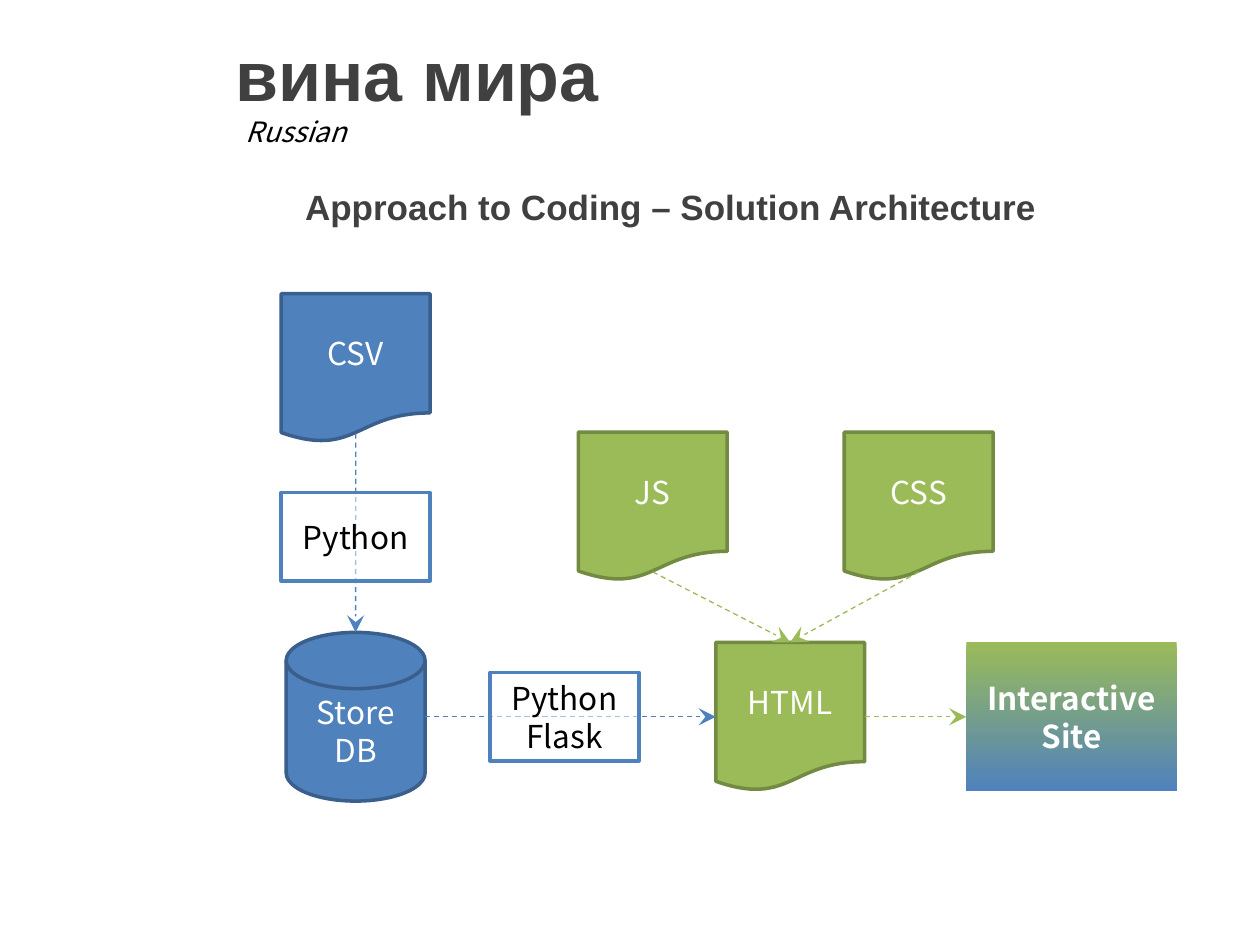
from lxml.etree import SubElement
from pptx import Presentation
from pptx.dml.color import RGBColor
from pptx.enum.dml import MSO_LINE
from pptx.enum.shapes import MSO_CONNECTOR, MSO_SHAPE as SHAPE
from pptx.enum.text import MSO_ANCHOR as ANCHOR, PP_ALIGN as ALIGN
from pptx.oxml.ns import qn
from pptx.util import Cm, Pt

COLORS = {"blue": "4F81BD", "blue_edge": "3A5F8C", "green": "9BBB59",
          "green_edge": "738A42", "white": "FFFFFF", "black": "000000",
          "heading": "404040"}
HEAD_FONT, BODY_FONT = "Arial", "Noto Sans CJK KR"

# Shared centre lines and sizes, in cm
DATA_X, SERVE_Y, ASSET_Y = 7.17, 14.45, 10.21
DOC, STEP = (3, 3), (3, 1.78)

# name: (text, shape, centre, size, fill, edge)
NODES = {
    "csv": ("CSV", SHAPE.FLOWCHART_DOCUMENT, (DATA_X, 7.42), DOC, "blue", "blue_edge"),
    "db": ("Store DB", SHAPE.FLOWCHART_MAGNETIC_DISK, (DATA_X, SERVE_Y), (2.8, 3.4),
           "blue", "blue_edge"),
    "html": ("HTML", SHAPE.FLOWCHART_DOCUMENT, (15.93, SERVE_Y), DOC, "green", "green_edge"),
    "js": ("JS", SHAPE.FLOWCHART_DOCUMENT, (13.16, ASSET_Y), DOC, "green", "green_edge"),
    "css": ("CSS", SHAPE.FLOWCHART_DOCUMENT, (18.52, ASSET_Y), DOC, "green", "green_edge"),
    "site": ("Interactive Site", SHAPE.FLOWCHART_PROCESS, (21.6, SERVE_Y), (4.24, 3),
             None, None),
}
STEPS = {
    "python": ("Python", SHAPE.FLOWCHART_PROCESS, (DATA_X, 10.82), STEP, "white", "blue"),
    "flask": ("Python Flask", SHAPE.FLOWCHART_PROCESS, (11.38, SERVE_Y), STEP,
              "white", "blue"),
}
# (from, side, to, side, colour)
TOP, LEFT, BOTTOM, RIGHT = range(4)
FLOWS = [
    ("csv", BOTTOM, "db", TOP, "blue"),
    ("db", RIGHT, "html", LEFT, "blue"),
    ("js", BOTTOM, "html", TOP, "green"),
    ("css", BOTTOM, "html", TOP, "green"),
    ("html", RIGHT, "site", LEFT, "green"),
]
WAVE = 0.94  # the wavy lower edge crosses the middle at this share of the height


def rgb(name):
    return RGBColor.from_string(COLORS[name])


def style(tf, size, color, font=BODY_FONT, bold=False, italic=False, align=ALIGN.LEFT):
    tf.word_wrap = True
    for p in tf.paragraphs:
        p.alignment = align
        for r in p.runs:
            f = r.font
            f.name, f.size, f.bold, f.italic = font, Pt(size), bold, italic
            f.color.rgb = rgb(color)


def place(sp, left, top, width, height):
    sp.left, sp.top, sp.width, sp.height = Cm(left), Cm(top), Cm(width), Cm(height)


def add_text(slide, text, box, size, color, **options):
    sp = slide.shapes.add_textbox(*(Cm(v) for v in box))
    sp.text_frame.text = text
    style(sp.text_frame, size, color, **options)
    return sp


def add_node(slide, text, kind, center, size, fill, edge):
    (x, y), (w, h) = center, size
    sp = slide.shapes.add_shape(kind, Cm(x - w / 2), Cm(y - h / 2), Cm(w), Cm(h))
    sp.shadow.inherit = False
    if fill:
        sp.fill.solid()
        sp.fill.fore_color.rgb = rgb(fill)
        sp.line.color.rgb = rgb(edge)
        sp.line.width = Pt(2)
    else:
        sp.fill.gradient()
        sp.fill.gradient_angle = 270
        for stop, color, position in zip(sp.fill.gradient_stops, ("green", "blue"), (0, 1)):
            stop.color.rgb = rgb(color)
            stop.position = position
        sp.line.fill.background()
    if fill == "white":  # half transparent, so the flow shows through
        SubElement(sp._element.spPr.find(".//" + qn("a:srgbClr")), qn("a:alpha"), val="50000")
    tf = sp.text_frame
    tf.text = text
    tf.vertical_anchor = ANCHOR.MIDDLE
    style(tf, 18, "black" if fill == "white" else "white", bold=not fill, align=ALIGN.CENTER)
    return sp


def side_point(sp, side):
    drop = WAVE if sp.auto_shape_type == SHAPE.FLOWCHART_DOCUMENT else 1
    across, down = [(0.5, 0), (0, 0.5), (0.5, drop), (1, 0.5)][side]
    return int(sp.left + sp.width * across), int(sp.top + sp.height * down)


def can_join(sp, side):
    if sp.auto_shape_type == SHAPE.FLOWCHART_DOCUMENT:
        return side != BOTTOM
    return sp.auto_shape_type == SHAPE.FLOWCHART_PROCESS


def add_flow(slide, start, start_side, end, end_side, color):
    line = slide.shapes.add_connector(MSO_CONNECTOR.STRAIGHT, *side_point(start, start_side),
                                      *side_point(end, end_side))
    if can_join(start, start_side):
        line.begin_connect(start, start_side)
    if can_join(end, end_side):
        line.end_connect(end, end_side)
    line.line.color.rgb = rgb(color)
    line.line.width = Pt(0.75)
    line.line.dash_style = MSO_LINE.DASH
    SubElement(line.line._get_or_add_ln(), qn("a:tailEnd"), type="stealth", w="lg", len="lg")
    SubElement(line._element.spPr, qn("a:effectLst"))


def main():
    prs = Presentation()
    prs.slide_width, prs.slide_height = Cm(25.4), Cm(19.05)
    slide = prs.slides.add_slide(prs.slide_layouts[5])

    # Headings
    title = slide.shapes.title
    place(title, 4.5, 0, 20.9, 2.97)
    title.text_frame.text = "вина мира"
    title.text_frame.vertical_anchor = ANCHOR.MIDDLE
    style(title.text_frame, 40, "heading", font=HEAD_FONT, bold=True)
    subtitle = add_text(slide, "Approach to Coding – Solution Architecture",
                        (5.9, 3.53, 18.24, 1.27), 20, "heading", font=HEAD_FONT, bold=True)
    subtitle.text_frame.vertical_anchor = ANCHOR.MIDDLE
    add_text(slide, "Russian", (4.7, 2.18, 3.2, 0.94), 16, "black", italic=True)

    # Diagram: nodes, flows between them, then the steps lying on the flows
    nodes = {name: add_node(slide, *node) for name, node in NODES.items()}
    for start, start_side, end, end_side, color in FLOWS:
        add_flow(slide, nodes[start], start_side, nodes[end], end_side, color)
    for step in STEPS.values():
        add_node(slide, *step)

    prs.save("out.pptx")


if __name__ == "__main__":
    main()
